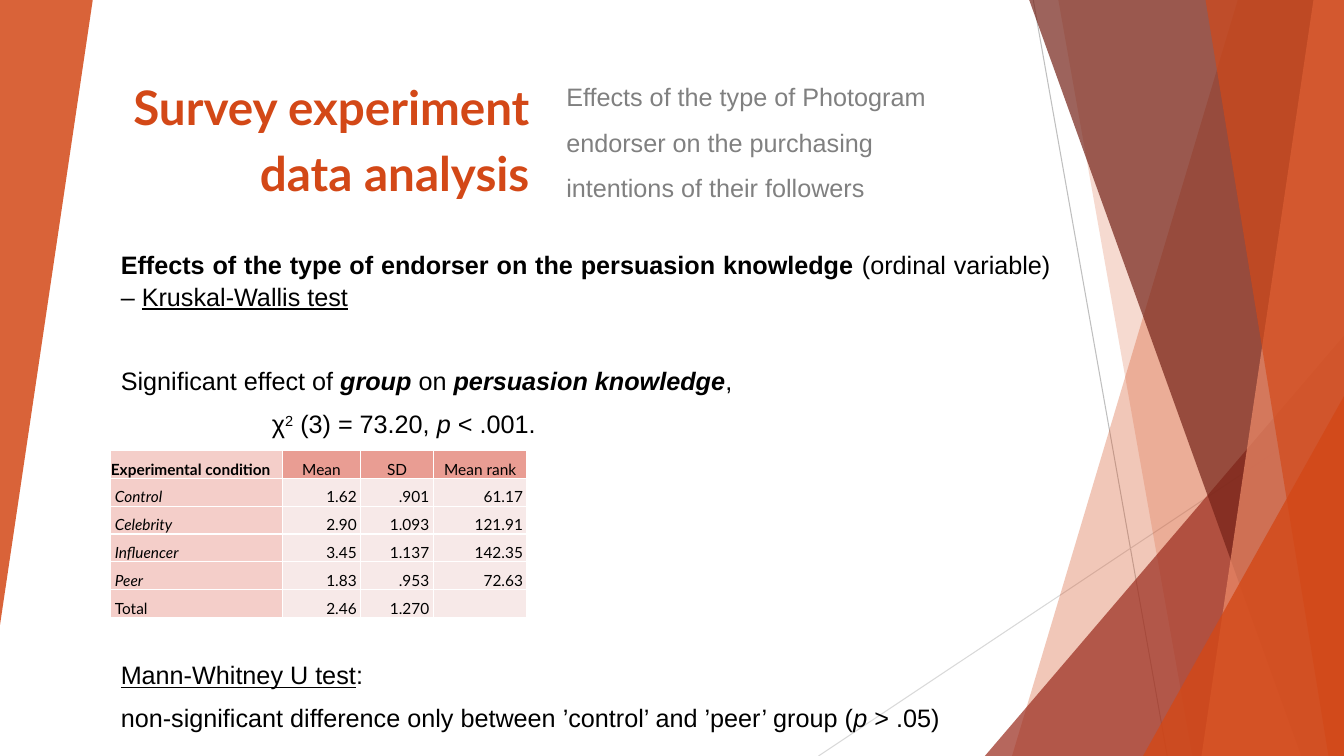
from dataclasses import dataclass

from lxml import etree
from pptx import Presentation
from pptx import util as u
from pptx.dml.color import RGBColor
from pptx.enum import shapes, text
from pptx.oxml.ns import qn


@dataclass(frozen=True)
class Theme:
    orange: str = "D34817"
    salmon: str = "EF8C6A"
    red: str = "9B2D1F"
    maroon: str = "742217"
    black: str = "000000"
    grey: str = "808080"
    rules: tuple = ("BFBFBF", "D9D9D9")
    white: str = "FFFFFF"
    head_fill: str = "E99D93"
    label_fill: str = "F4CEC9"
    value_fill: str = "F7E9E8"
    title_font: str = "Lato"
    body_font: str = "Arial"
    title_size: int = 34
    body_size: int = 18
    table_size: int = 11


THEME = Theme()
WIDTH, HEIGHT = u.Inches(13.333), u.Inches(7.5)
BODY = {"name": THEME.body_font, "size": u.Pt(THEME.body_size)}
CELL = {"name": THEME.title_font, "size": u.Pt(THEME.table_size)}
BOLD, ITALIC, UNDERLINE = {"bold": True}, {"italic": True}, {"underline": True}
BLANK_LINE = 29.7  # points taken by one body line with its spacing

# Facets, back to front: colour, opacity, then geometry in percent of the slide.
# Two numbers: left edge at top and at bottom. Four: box of a triangle.
FACETS = [
    (THEME.orange, 30, (92.1, 75.3)),
    (THEME.orange, 20, (78.75, 88.73)),
    (THEME.red, 72, (73.28, 44.4, 26.72, 55.6)),
    (THEME.maroon, 70, (76.58, 96.83)),
    (THEME.salmon, 70, (97.73, 89.4)),
    (THEME.orange, 65, (89.7, 98.85)),
    (THEME.orange, 80, (85.05, 52.4, 14.95, 47.6)),
]
RULES = [(76.88, 0, 86.85, 100), (100, 53.73, 60.9, 100)]

# Body paragraphs: spans, then paragraph options
FINDINGS = [
    ([("Effects of the type of endorser on the persuasion knowledge ", BOLD),
      ("(ordinal variable) – ", {}), ("Kruskal-Wallis test", UNDERLINE)], {}),
    ([("Significant effect of ", {}), ("group", BOLD | ITALIC), (" on ", {}),
      ("persuasion knowledge", BOLD | ITALIC), (",", {})], {"blank": 1}),
    ([("χ", {}), ("2", {"raised": True}), (" (3) = 73.20, ", {}),
      ("p", ITALIC), (" < .001.", {})], {"indent": 1.5}),
    ([("Mann-Whitney U test", UNDERLINE), (":", {})], {"blank": 5}),
    ([("non-significant difference only between ’control’ and ’peer’ group (", {}),
      ("p", ITALIC), (" > .05)", {})], {}),
]

COLUMNS = [12.75, 5.85, 5.4, 6.97]
ROWS = [
    ("Experimental condition", "Mean", "SD", "Mean rank"),
    ("Control", "1.62", ".901", "61.17"),
    ("Celebrity", "2.90", "1.093", "121.91"),
    ("Influencer", "3.45", "1.137", "142.35"),
    ("Peer", "1.83", ".953", "72.63"),
    ("Total", "2.46", "1.270", ""),
]


def across(share):
    return round(WIDTH * share / 100)


def down(share):
    return round(HEIGHT * share / 100)


def place(left, top, width, height):
    return across(left), down(top), across(width), down(height)


def set_all(target, values):
    for name, value in values.items():
        setattr(target, name, value)


def paint(shape, colour, opacity):
    shape.shadow.inherit = False
    shape.line.fill.background()
    shape.fill.solid()
    shape.fill.fore_color.rgb = RGBColor.from_string(colour)
    colour_node = shape.fill._xPr.find(".//" + qn("a:srgbClr"))
    etree.SubElement(colour_node, qn("a:alpha"), val=str(opacity * 1000))


def add_rule(page, ends, colour):
    x1, y1, x2, y2 = ends
    rule = page.shapes.add_connector(
        shapes.MSO_CONNECTOR.STRAIGHT, across(x1), down(y1), across(x2), down(y2))
    rule.line.color.rgb = RGBColor.from_string(colour)
    rule.line.width = u.Pt(0.75)
    etree.SubElement(rule._element.spPr, qn("a:effectLst"))


def add_triangle(page, area, colour, opacity, rotation=0):
    triangle = page.shapes.add_shape(
        shapes.MSO_SHAPE.ISOSCELES_TRIANGLE, *place(*area))
    triangle.adjustments[0] = 1
    triangle.rotation = rotation
    paint(triangle, colour, opacity)


def add_band(page, edge, colour, opacity):
    """Area between a slanted left edge and the right side of the slide."""
    top, bottom = edge
    outline = page.shapes.build_freeform(across(top), 0)
    outline.add_line_segments(
        [(WIDTH, 0), (WIDTH, HEIGHT), (across(bottom), HEIGHT)], close=True)
    paint(outline.convert_to_shape(), colour, opacity)


def add_span(para, words, colour, style):
    span = para.add_run()
    span.text = words
    style = dict(style)
    if style.pop("raised", False):
        span.font._element.set("baseline", "30000")
    set_all(span.font, style)
    span.font.color.rgb = RGBColor.from_string(colour)


def add_text(page, area, paragraphs, colour, style, layout, anchor=text.MSO_ANCHOR.TOP):
    frame = page.shapes.add_textbox(*place(*area)).text_frame
    set_all(frame, {"word_wrap": True, "vertical_anchor": anchor})
    for index, (spans, options) in enumerate(paragraphs):
        para = frame.add_paragraph() if index else frame.paragraphs[0]
        set_all(para, layout)
        if "blank" in options:
            para.space_before += u.Pt(BLANK_LINE * options["blank"])
        if "indent" in options:
            para._p.get_or_add_pPr().set("marL", str(u.Inches(options["indent"])))
        for words, extra in spans:
            add_span(para, words, colour, style | extra)


def fill_cell(cell, words, row, column):
    header, label = row == 0, column == 0
    side = 0 if header and label else u.Inches(0.04)
    set_all(cell, {"margin_left": side, "margin_right": side,
                   "margin_top": 0, "margin_bottom": 0})
    if label and not header:
        cell.vertical_anchor = text.MSO_ANCHOR.MIDDLE
    # White borders come before the fill in the cell properties
    properties = cell._tc.get_or_add_tcPr()
    for edge in ("a:lnL", "a:lnR", "a:lnT", "a:lnB"):
        line = etree.SubElement(properties, qn(edge), w=str(u.Pt(1)))
        solid = etree.SubElement(line, qn("a:solidFill"))
        etree.SubElement(solid, qn("a:srgbClr"), val=THEME.white)
    colour = THEME.label_fill if label else THEME.head_fill if header else THEME.value_fill
    cell.fill.solid()
    cell.fill.fore_color.rgb = RGBColor.from_string(colour)
    para = cell.text_frame.paragraphs[0]
    align = text.PP_ALIGN.LEFT if label else text.PP_ALIGN.CENTER if header else text.PP_ALIGN.RIGHT
    set_all(para, {"alignment": align, "line_spacing": 1.5,
                   "space_before": u.Pt(2), "space_after": u.Pt(2)})
    if words:
        add_span(para, words, THEME.black, CELL | {
            "bold": header and label,
            "italic": label and not header and words != "Total"})
    else:
        etree.SubElement(para._p, qn("a:endParaRPr"), sz=str(THEME.table_size * 100))


def add_results(page, left, top, row_height):
    area = place(left, top, sum(COLUMNS), row_height * len(ROWS))
    table = page.shapes.add_table(len(ROWS), len(COLUMNS), *area).table
    set_all(table, {"first_row": False, "horz_banding": False})
    for column, share in zip(table.columns, COLUMNS):
        column.width = across(share)
    for r, values in enumerate(ROWS):
        for c, words in enumerate(values):
            fill_cell(table.cell(r, c), words, r, c)


def main():
    deck = Presentation()
    set_all(deck, {"slide_width": WIDTH, "slide_height": HEIGHT})
    page = deck.slides.add_slide(deck.slide_layouts[6])

    # Backdrop
    for ends, colour in zip(RULES, THEME.rules):
        add_rule(page, ends, colour)
    for colour, opacity, geometry in FACETS:
        draw = add_band if len(geometry) == 2 else add_triangle
        draw(page, geometry, colour, opacity)
    add_triangle(page, (0, 0, 6.9, 82.67), THEME.orange, 85, rotation=180)

    # Title and subtitle
    add_text(page, (5.4, 5.87, 34.73, 24), [([("Survey experiment data analysis", BOLD)], {})],
             THEME.orange, {"name": THEME.title_font, "size": u.Pt(THEME.title_size)},
             {"alignment": text.PP_ALIGN.RIGHT, "line_spacing": 1.15, "space_before": u.Pt(12)},
             text.MSO_ANCHOR.MIDDLE)
    subtitle = ("Effects of the type of Photogram endorser on the purchasing "
                "intentions of their followers")
    add_text(page, (41.4, 8.13, 31.95, 19.47), [([(subtitle, {})], {})],
             THEME.grey, BODY, {"line_spacing": 1.5, "space_before": u.Pt(12)})

    # Findings and table
    add_text(page, (8.25, 32.13, 70.65, 65.3), FINDINGS, THEME.black, BODY,
             {"alignment": text.PP_ALIGN.JUSTIFY, "line_spacing": 1.05,
              "space_before": u.Pt(2), "space_after": u.Pt(6)})
    add_results(page, 8.25, 59.6, 3.22)

    deck.save("out.pptx")


if __name__ == "__main__":
    main()
